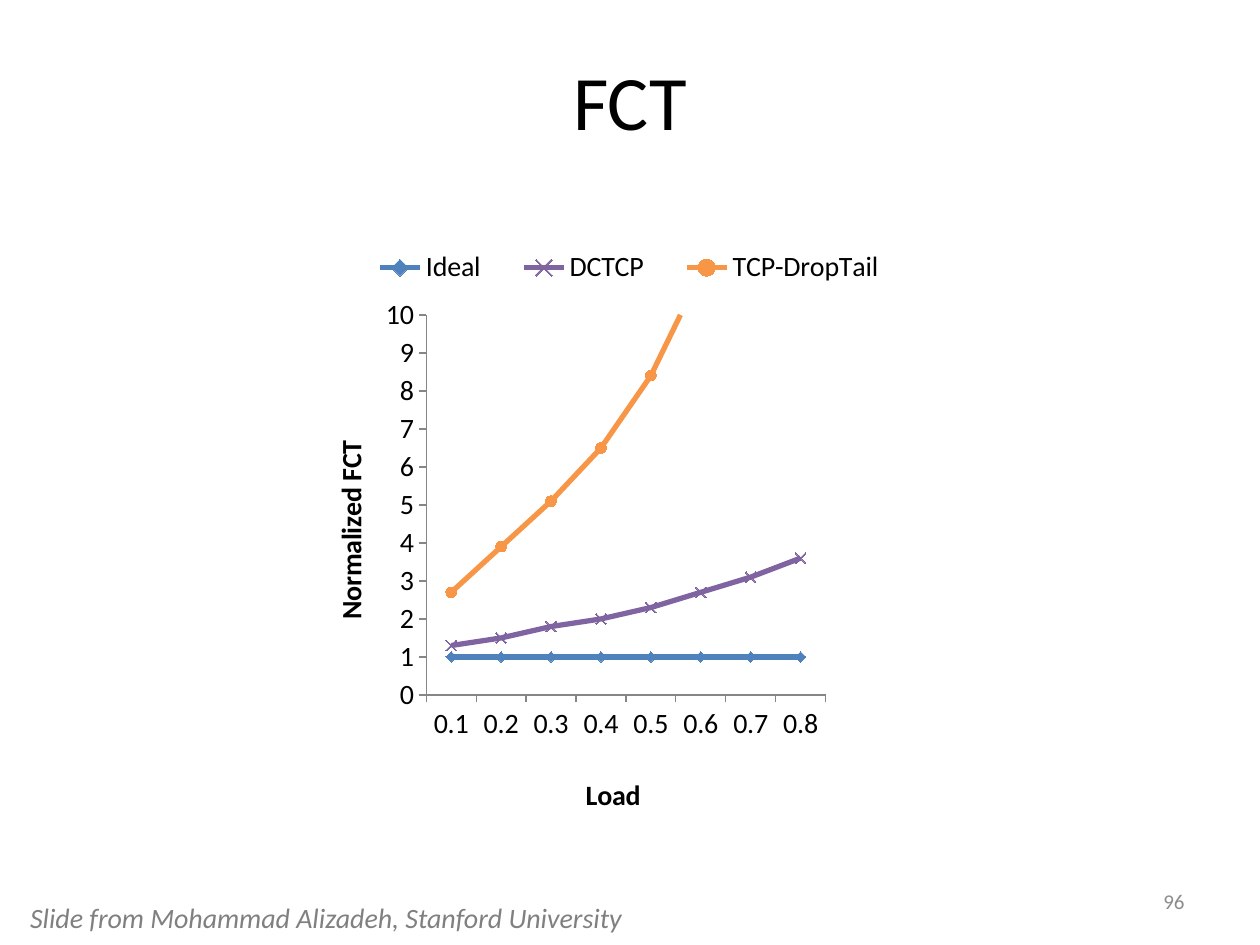
from lxml import etree
from pptx import Presentation, util as u
from pptx.chart.data import CategoryChartData
from pptx.dml.color import RGBColor
from pptx.enum import chart as ch, text
from pptx.oxml.ns import qn


def paint(font, size, hue):
    font.size = u.Pt(size)
    font.name = "Calibri"
    font.color.rgb = RGBColor.from_string(hue)


def place(node, spot, x, y, w=None, h=None, inner=False):
    for old in node.findall(qn("c:layout")):
        node.remove(old)
    box = etree.Element(qn("c:layout"))
    man = etree.SubElement(box, qn("c:manualLayout"))
    rows = [("xMode", "edge"), ("yMode", "edge"), ("x", x), ("y", y), ("w", w), ("h", h)]
    if inner:
        rows.insert(0, ("layoutTarget", "inner"))
    for tag, val in rows:
        if val is not None:
            etree.SubElement(man, qn("c:" + tag)).set("val", str(val))
    node.insert(spot, box)


deck = Presentation()
deck.slide_width, deck.slide_height = u.Inches(10), u.Inches(7.5)
slide = deck.slides.add_slide(deck.slide_layouts[5])

title = slide.shapes.title
title.left, title.top = u.Inches(0.5), u.Inches(0.17)
title.width, title.height = u.Inches(9), u.Inches(1.25)
title.text_frame.text = "FCT"
title.text_frame.vertical_anchor = text.MSO_ANCHOR.MIDDLE
para = title.text_frame.paragraphs[0]
para.alignment = text.PP_ALIGN.CENTER
paint(para.runs[0].font, 44, "000000")

lines = [
    ("Ideal", [1] * 8, "4F81BD", ch.XL_MARKER_STYLE.DIAMOND),
    ("DCTCP", [1.3, 1.5, 1.8, 2, 2.3, 2.7, 3.1, 3.6], "8064A2", ch.XL_MARKER_STYLE.X),
    ("TCP-DropTail", [2.7, 3.9, 5.1, 6.5, 8.4, 11.1, 15.1, 20.4], "F79646",
     ch.XL_MARKER_STYLE.CIRCLE),
]
data = CategoryChartData()
data.categories = [f"0.{n}" for n in range(1, 9)]
for name, vals, hue, mark in lines:
    data.add_series(name, vals)
chart = slide.shapes.add_chart(
    ch.XL_CHART_TYPE.LINE_MARKERS, u.Inches(1.12), u.Inches(1.78),
    u.Inches(7.75), u.Inches(4.93), data).chart
paint(chart.font, 16, "000000")
chart.has_title = False
plot = chart.plots[0]
plot.vary_by_categories = False
place(chart._chartSpace.chart.plotArea, 0, 0.292, 0.146, 0.409, 0.612, True)

chart.has_legend = True
chart.legend.position = ch.XL_LEGEND_POSITION.TOP
chart.legend.include_in_layout = False
paint(chart.legend.font, 16, "000000")
place(chart.legend._element, 1, 0.21, 0.02, 0.58, 0.1)

for row, (name, vals, hue, mark) in zip(plot.series, lines):
    tone = RGBColor.from_string(hue)
    row.smooth = False
    row.format.line.width = u.Pt(3)
    row.format.line.color.rgb = tone
    row.marker.style = mark
    row.marker.size = 6
    fill = row.marker.format.fill
    if mark == ch.XL_MARKER_STYLE.X:
        fill.background()
    else:
        fill.solid()
        fill.fore_color.rgb = tone
    row.marker.format.line.color.rgb = tone

for axis, label, x, y in [(chart.category_axis, "Load", 0.45, 0.88),
                          (chart.value_axis, "Normalized FCT ", 0.19, 0.33)]:
    axis.has_major_gridlines = False
    axis.major_tick_mark = ch.XL_TICK_MARK.OUTSIDE
    axis.format.line.color.rgb = RGBColor.from_string("868686")
    paint(axis.tick_labels.font, 16, "000000")
    head = axis.axis_title
    head.text_frame.text = label
    font = head.text_frame.paragraphs[0].runs[0].font
    paint(font, 16, "000000")
    font.bold = True
    place(head._element, 1, x, y)
chart.value_axis.minimum_scale = 0
chart.value_axis.maximum_scale = 10
chart.value_axis.major_unit = 1

for label, x, y, w, h, size, hue, side, wrap in [
    ("96", 7.17, 6.95, 2.33, 0.4, 12, "8C8C8C", text.PP_ALIGN.RIGHT, True),
    ("Slide from Mohammad Alizadeh, Stanford University", 0.14, 7.1, 5.02, 0.37,
     16, "808080", text.PP_ALIGN.LEFT, False),
]:
    frame = slide.shapes.add_textbox(
        u.Inches(x), u.Inches(y), u.Inches(w), u.Inches(h)).text_frame
    frame.word_wrap = wrap
    frame.vertical_anchor = text.MSO_ANCHOR.MIDDLE if wrap else text.MSO_ANCHOR.TOP
    frame.text = label
    para = frame.paragraphs[0]
    para.alignment = side
    paint(para.runs[0].font, size, hue)
    para.runs[0].font.italic = not wrap

deck.save("out.pptx")
